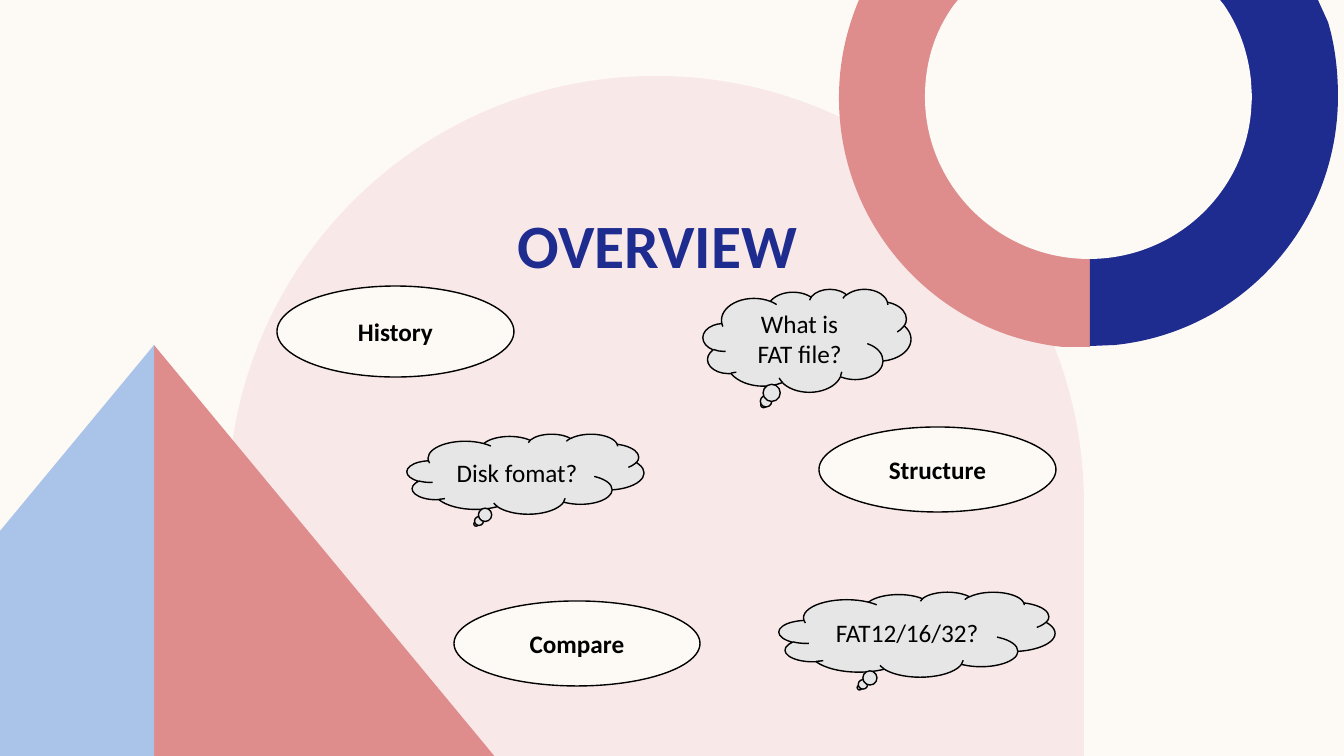
from lxml import etree
from pptx import Presentation, util as u
from pptx.dml.color import RGBColor
from pptx.enum import shapes, text
from pptx.oxml.ns import qn

PX = 914400 / 100.8
CREAM, BLUSH, ROSE = "FDFAF6", "F8E8E8", "DE8C8C"
NAVY, SKY, GREY, BLACK = "1F2C8F", "AAC3E8", "E7E6E6", "000000"


def color(hex_string):
    return RGBColor.from_string(hex_string)


presentation = Presentation()
presentation.slide_width = round(1344 * PX)
presentation.slide_height = round(756 * PX)
slide = presentation.slides.add_slide(presentation.slide_layouts[6])
slide.background.fill.solid()
slide.background.fill.fore_color.rgb = color(CREAM)

# Background decoration: each step is one point (line) or three points (curve)
arch = [[(656, 76)], [(893, 76), (1084, 267), (1084, 504)], [(1084, 758)], [(228, 758)],
        [(228, 504)], [(228, 267), (419, 76), (656, 76)]]
ring_left = [[(859, 0)], [(1090, 0)], [(1090, 347)], [(1063, 347)],
             [(937, 334), (839, 227), (839, 98)], [(839, 63), (846, 31), (859, 0)]]
ring_right = [[(1090, 0)], [(1318, 0)], [(1328, 22)], [(1335, 45), (1338, 71), (1338, 96)],
              [(1338, 226), (1241, 332), (1115, 345)], [(1090, 346)]]
ring_hole = [[(958, 0)], [(1220, 0)], [(1224, 5)], [(1239, 27), (1248, 52), (1251, 80)],
             [(1252, 97)], [(1251, 113)], [(1243, 196), (1173, 259), (1089, 259)],
             [(999, 259), (925, 186), (925, 97)], [(925, 62), (935, 31), (954, 5)]]
triangle_right = [[(154, 345)], [(496, 758)], [(154, 758)]]
triangle_left = [[(154, 345)], [(154, 758)], [(0, 758)], [(0, 531)]]
decorations = [
    (arch, BLUSH), (ring_left, ROSE), (ring_right, NAVY),
    (ring_hole, CREAM), (triangle_right, ROSE), (triangle_left, SKY),
]
for steps, fill in decorations:
    start, *others = [point for step in steps for point in step]
    builder = slide.shapes.build_freeform(*start, scale=PX)
    builder.add_line_segments(others, close=True)
    shape = builder.convert_to_shape()
    shape.shadow.inherit = False
    shape.fill.solid()
    shape.fill.fore_color.rgb = color(fill)
    shape.line.fill.background()
    # Merge the three lines of each curved step into one Bézier curve
    lines = iter(list(shape.element.iter(qn("a:lnTo"))))
    for step in steps[1:]:
        parts = [next(lines) for point in step]
        if len(parts) == 3:
            curve = etree.Element(qn("a:cubicBezTo"))
            parts[0].addprevious(curve)
            for line in parts:
                curve.append(line[0])
                line.getparent().remove(line)

# Title
title = slide.shapes.add_textbox(*[round(n * PX) for n in (305, 202, 705, 84)])
frame = title.text_frame
frame.word_wrap = True
frame.vertical_anchor = text.MSO_ANCHOR.BOTTOM
frame.text = "OVERVIEW"
paragraph = frame.paragraphs[0]
paragraph.alignment = text.PP_ALIGN.CENTER
font = paragraph.runs[0].font
font.name, font.size, font.bold = "Calibri", u.Pt(44), True
font.color.rgb = color(NAVY)

# Topics in ellipses, questions in thought clouds
OVAL, CLOUD = shapes.MSO_SHAPE.OVAL, shapes.MSO_SHAPE.CLOUD_CALLOUT
bubbles = [
    (OVAL, "Structure", 819, 427, 237, 85),
    (OVAL, "History", 277, 286, 237, 91),
    (OVAL, "Compare", 454, 601, 246, 85),
    (CLOUD, "What is FAT file?", 703, 289, 208, 103),
    (CLOUD, "Disk fomat?", 407, 434, 237, 80),
    (CLOUD, "FAT12/16/32?", 779, 592, 276, 85),
]
for kind, label, *box in bubbles:
    shape = slide.shapes.add_shape(kind, *[round(n * PX) for n in box])
    shape.shadow.inherit = False
    shape.fill.solid()
    shape.fill.fore_color.rgb = color(CREAM if kind == OVAL else GREY)
    shape.line.color.rgb = color(BLACK)
    shape.line.width = u.Pt(1)
    frame = shape.text_frame
    frame.word_wrap = True
    frame.vertical_anchor = text.MSO_ANCHOR.MIDDLE
    frame.text = label
    paragraph = frame.paragraphs[0]
    paragraph.alignment = text.PP_ALIGN.CENTER
    font = paragraph.runs[0].font
    font.name, font.size, font.bold = "Calibri", u.Pt(18), kind == OVAL
    font.color.rgb = color(BLACK)

presentation.save("out.pptx")
